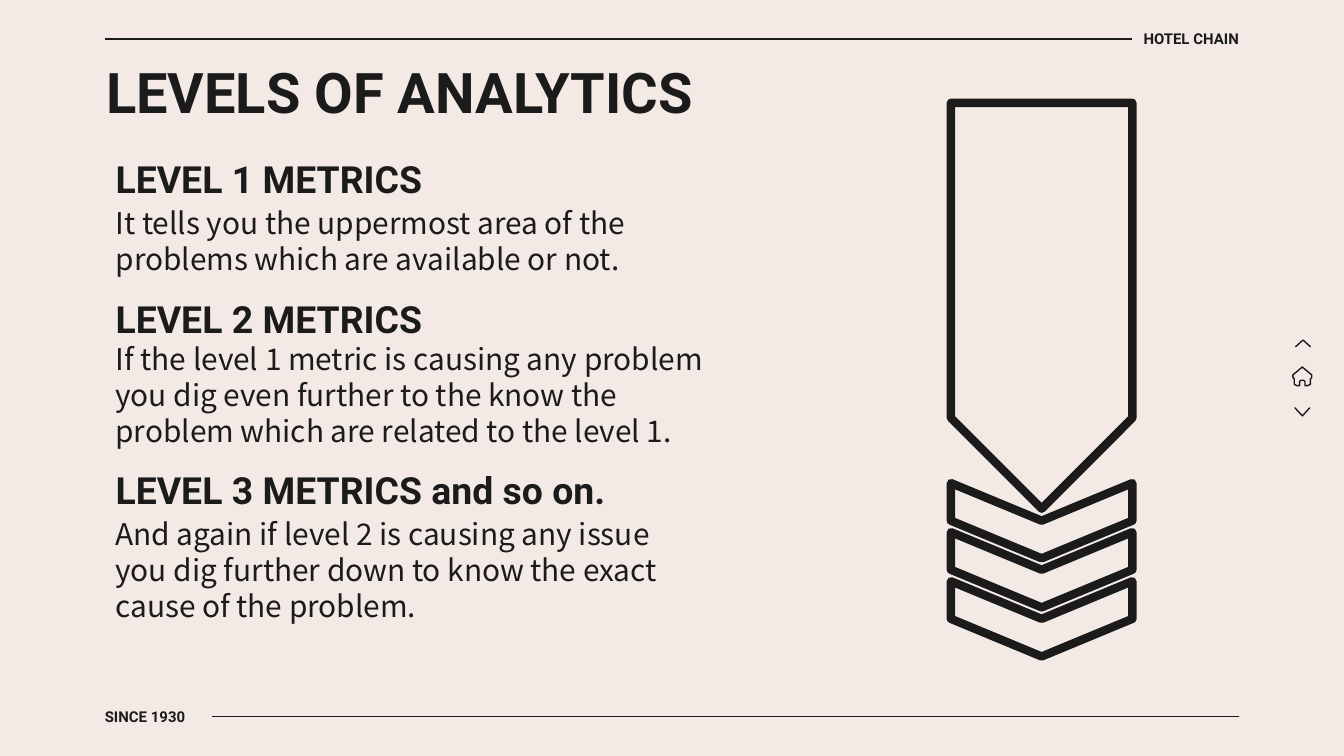
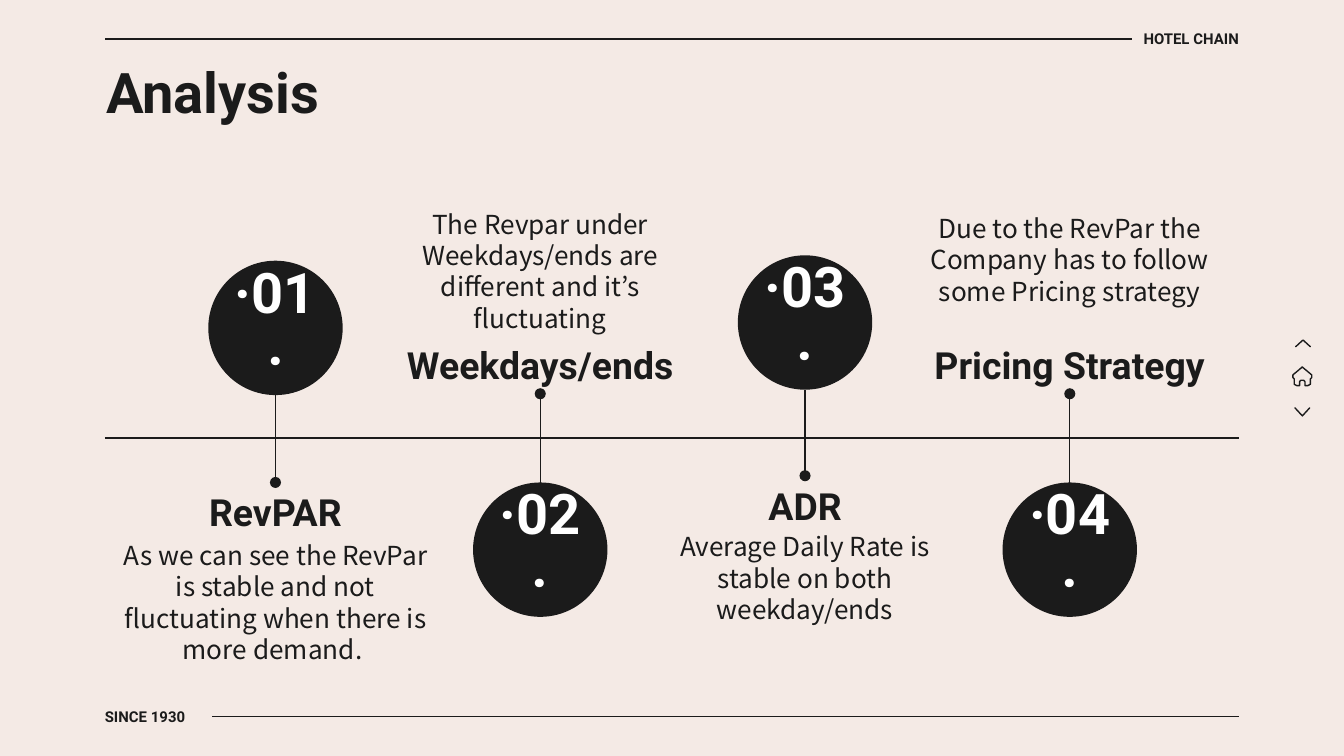
"""Build two hotel chain slides: the levels of analytics and the analysis timeline."""
from lxml.etree import SubElement
from pptx import Presentation
from pptx.dml.color import RGBColor
from pptx.enum.shapes import MSO_CONNECTOR as Link, MSO_SHAPE as Shape
from pptx.enum.text import MSO_ANCHOR as Anchor, MSO_AUTO_SIZE as AutoSize, PP_ALIGN as Align
from pptx.oxml.ns import qn
from pptx.util import Inches, Pt

INK = RGBColor(0x1B, 0x1B, 0x1B)
PAPER = RGBColor(0xF4, 0xEA, 0xE5)
WHITE = RGBColor(0xFF, 0xFF, 0xFF)
SLIDE_WIDTH = Inches(10)
SLIDE_HEIGHT = SLIDE_WIDTH * 9 // 16
LEFT, RIGHT = 0.78, 9.22

HEADING = {"name": "Roboto", "bold": True, "size": Pt(20)}
TITLE = {**HEADING, "size": Pt(30)}
LABEL = {**HEADING, "size": Pt(8)}
LEVEL_TEXT = {"name": "Noto Sans CJK KR", "bold": False, "size": Pt(16)}
STEP_TEXT = {**LEVEL_TEXT, "size": Pt(14)}
NUMBER = {**TITLE, "color": WHITE}

LABELS = [
    ("HOTEL CHAIN", (8.42, 0.21, 0.8, 0.16), Align.RIGHT),
    ("SINCE 1930", (LEFT, 5.25, 0.8, 0.16), Align.LEFT),
]
RULES = [((8.42, 0.29), (LEFT, 0.29)), ((1.58, 5.33), (RIGHT, 5.33))]
NAV_ARROWS = [((9.67, 2.5, 0.05, 0.11), 270), ((9.66, 3.01, 0.06, 0.11), 90)]
HOUSE_MIDDLE = 9.69
HOUSE_HALF = [
    (0, 2.73), (0.01, 2.74), (0.07, 2.79), (0.07, 2.81), (0.06, 2.82),
    (0.06, 2.86), (0.04, 2.87), (0.02, 2.87), (0.02, 2.84), (0.01, 2.83),
]

LEVELS_TITLE = "LEVELS OF ANALYTICS"
LEVELS = [
    ("LEVEL 1 METRICS", 1.14,
     "It tells you the uppermost area of the problems which are available or not.",
     (0.86, 1.64, 4.35, 0.3)),
    ("LEVEL 2 METRICS", 2.18,
     "If the level 1 metric is causing any problem you dig even further to the know the "
     "problem which are related to the level 1.",
     (0.86, 2.54, 4.56, 0.79)),
    ("LEVEL 3 METRICS and so on.", 3.45,
     "And again if level 2 is causing any issue you dig further down to know the exact "
     "cause of the problem.",
     (0.86, 3.83, 4.35, 0.82)),
]
PLATE = (6.24, 1.6, 3.02, 1.35)
CHEVRON_COUNT, FIRST_CHEVRON, LAST_CHEVRON = 3, 3.2, 3.93

ANALYSIS_TITLE = "Analysis"
STEPS = [
    {"name": "RevPAR", "name_top": 3.59, "circle_top": 1.94, "stem": (3.59, 2.9),
     "text": "As we can see the RevPar is stable and not fluctuating when there is more demand. ",
     "text_top": 3.95, "text_size": (2.62, 1.06)},
    {"name": "Weekdays/ends", "name_top": 2.49, "circle_top": 3.59, "stem": (2.93, 3.61),
     "text": "The Revpar under Weekdays/ends are different and it’s fluctuating",
     "text_top": 1.54, "text_size": (2.3, 0.95)},
    {"name": "ADR", "name_top": 3.54, "circle_top": 1.9, "stem": (3.54, 2.9),
     "text": "Average Daily Rate is stable on both weekday/ends",
     "text_top": 4.03, "text_size": (2.3, 0.54)},
    {"name": "Pricing Strategy", "name_top": 2.49, "circle_top": 3.59, "stem": (2.93, 3.61),
     "text": "Due to the RevPar the Company has to follow some Pricing strategy",
     "text_top": 1.37, "text_size": (2.3, 1.12)},
]
FIRST_CENTER, STEP_GAP, TIMELINE_TOP = 2.05, 1.97, 3.26
NAME_WIDTH, NAME_HEIGHT, CIRCLE = 2.3, 0.44, 1


def inches(values):
    return [Inches(value) for value in values]


def set_all(target, values):
    for attribute, value in values.items():
        setattr(target, attribute, value)


def write(shape, text, style, align=Align.LEFT, insets=(0, 0, 0, 0), anchor=Anchor.MIDDLE):
    frame = shape.text_frame
    sides = ("margin_left", "margin_top", "margin_right", "margin_bottom")
    set_all(frame, {"text": text, "word_wrap": True, "auto_size": AutoSize.NONE,
                    "vertical_anchor": anchor, **dict(zip(sides, inches(insets)))})
    paragraph = frame.paragraphs[0]
    paragraph.alignment = align
    if style["name"] == LEVEL_TEXT["name"]:
        paragraph.line_spacing = Pt(style["size"].pt * 1.2)
    font = paragraph.runs[0].font
    set_all(font, {key: value for key, value in style.items() if key != "color"})
    font.color.rgb = style.get("color", INK)


def add_text(slide, text, box, style, **layout):
    write(slide.shapes.add_textbox(*inches(box)), text, style, **layout)


def add_line(slide, start, end, dot=False):
    line = slide.shapes.add_connector(Link.STRAIGHT, *inches(start + end))
    line.line.color.rgb = INK
    line.line.width = Pt(0.75)
    properties = line.element.spPr
    if dot:
        SubElement(properties.find(qn("a:ln")), qn("a:headEnd"), type="oval")
    SubElement(properties, qn("a:effectLst"))


def outline(shape, width):
    shape.shadow.inherit = False
    shape.fill.background()
    shape.line.color.rgb = INK
    shape.line.width = Pt(width)
    SubElement(shape.element.spPr.find(qn("a:ln")), qn("a:round"))


def add_pointer(shapes, kind, box, rotation, bend, width):
    pointer = shapes.add_shape(kind, *inches(box))
    pointer.rotation = rotation
    pointer.adjustments[0] = bend
    outline(pointer, width)


def add_house(slide):
    right = [(HOUSE_MIDDLE + x, y) for x, y in HOUSE_HALF]
    left = [(HOUSE_MIDDLE - x, y) for x, y in reversed(HOUSE_HALF[1:])]
    start, *rest = [inches(point) for point in right + left]
    builder = slide.shapes.build_freeform(*start)
    builder.add_line_segments(rest, close=True)
    outline(builder.convert_to_shape(), 0.75)


def start_slide(deck, title):
    slide = deck.slides.add_slide(deck.slide_layouts.get_by_name("Title Only"))
    heading = slide.shapes.title
    set_all(heading, dict(zip(("left", "top", "width", "height"),
                              inches((0.79, 0.43, 8.43, 0.5)))))
    write(heading, title, TITLE, anchor=Anchor.TOP)
    for start, end in RULES:
        add_line(slide, start, end)
    for label, box, align in LABELS:
        add_text(slide, label, box, LABEL, align=align)
    add_house(slide)
    for box, rotation in NAV_ARROWS:
        add_pointer(slide.shapes, Shape.CHEVRON, box, rotation, 1, 0.75)
    return slide


def build_levels(deck):
    slide = start_slide(deck, LEVELS_TITLE)
    for name, top, text, box in LEVELS:
        add_text(slide, name, (0.86, top, 4.35, 0.38), HEADING)
        add_text(slide, text, box, LEVEL_TEXT)
    arrow = slide.shapes.add_group_shape().shapes
    add_pointer(arrow, Shape.PENTAGON, PLATE, 90, 0.5, 4.5)
    gap = (LAST_CHEVRON - FIRST_CHEVRON) / (CHEVRON_COUNT - 1)
    for index in range(CHEVRON_COUNT):
        box = (7.47, FIRST_CHEVRON + index * gap, 0.56, 1.35)
        add_pointer(arrow, Shape.CHEVRON, box, 90, 0.5, 4.5)


def build_analysis(deck):
    slide = start_slide(deck, ANALYSIS_TITLE)
    add_line(slide, (LEFT, TIMELINE_TOP), (RIGHT, TIMELINE_TOP))
    for index, step in enumerate(STEPS):
        center = FIRST_CENTER + index * STEP_GAP
        dot_y, circle_y = step["stem"]
        width, height = step["text_size"]
        add_text(slide, step["name"],
                 (center - NAME_WIDTH / 2, step["name_top"], NAME_WIDTH, NAME_HEIGHT),
                 HEADING, align=Align.CENTER, insets=(0, 0.1, 0, 0.1))
        add_text(slide, step["text"], (center - width / 2, step["text_top"], width, height),
                 STEP_TEXT, align=Align.CENTER, insets=(0.1,) * 4)
        add_line(slide, (center, dot_y), (center, circle_y), dot=True)
        circle = slide.shapes.add_shape(
            Shape.OVAL, *inches((center - CIRCLE / 2, step["circle_top"], CIRCLE, CIRCLE)))
        circle.shadow.inherit = False
        circle.fill.solid()
        circle.fill.fore_color.rgb = INK
        circle.line.fill.background()
        write(circle, f"·{index + 1:02}·", NUMBER, Align.CENTER, (0, 0.05, 0, 0.1))


def main():
    deck = Presentation()
    set_all(deck, {"slide_width": SLIDE_WIDTH, "slide_height": SLIDE_HEIGHT})
    paper = deck.slide_master.background.fill
    paper.solid()
    paper.fore_color.rgb = PAPER
    build_levels(deck)
    build_analysis(deck)
    deck.save("out.pptx")


if __name__ == "__main__":
    main()
